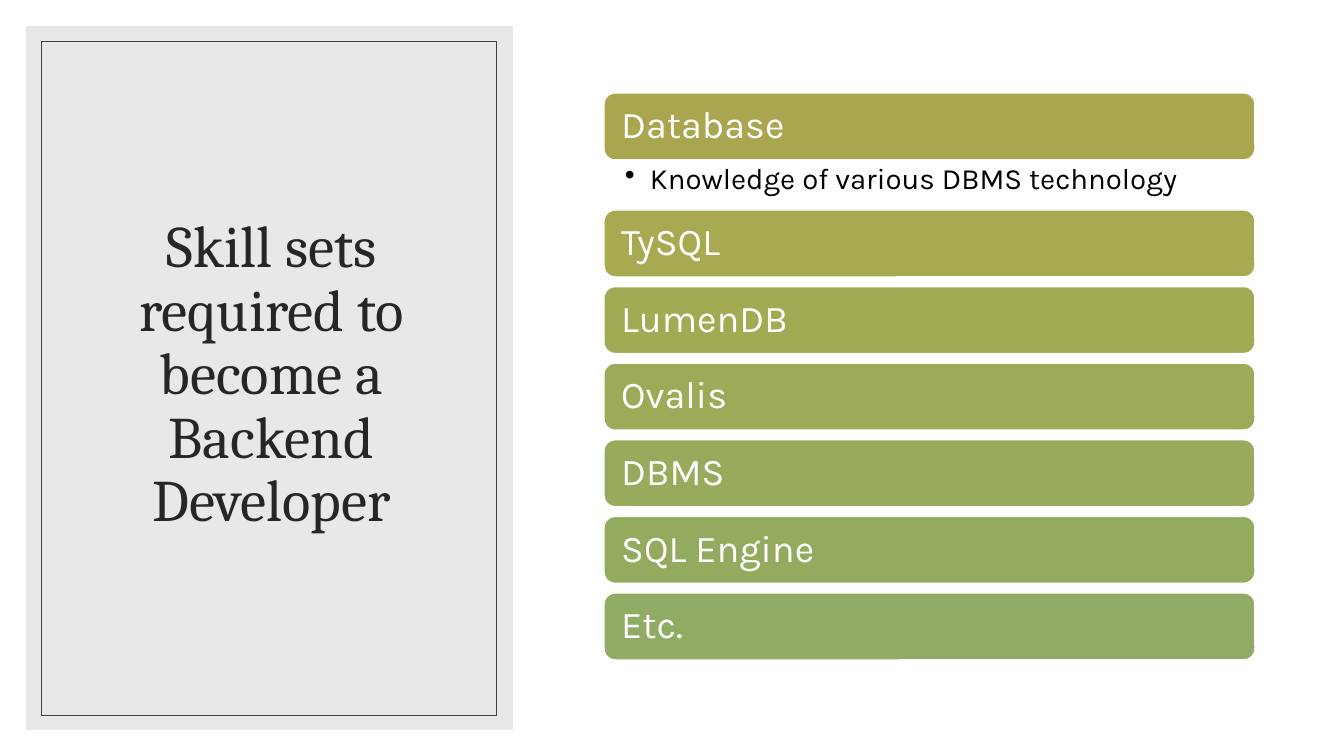
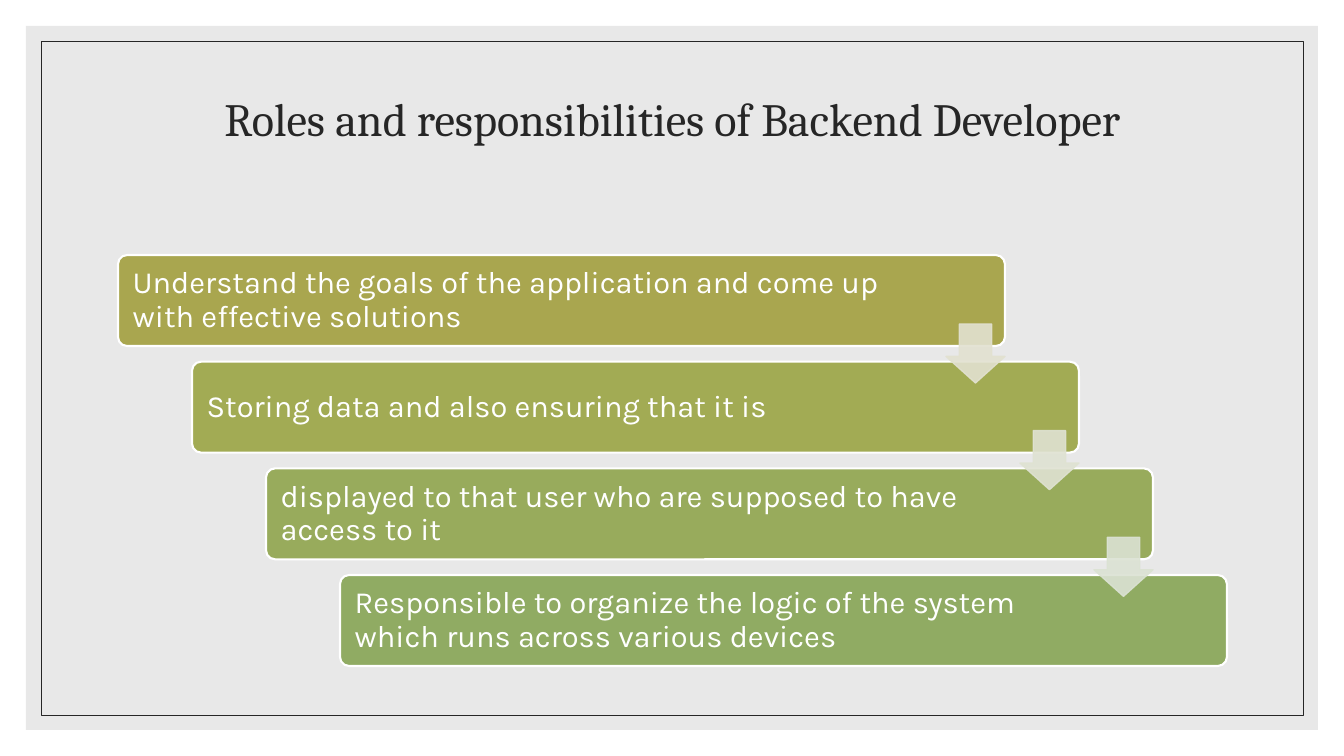
"""Build two slides on backend developer skills and responsibilities."""
import pptx
import pptx.util
import pptx.dml.color
import pptx.enum.shapes
import pptx.enum.text
import pptx.oxml.ns
import lxml.etree

SHAPE = pptx.enum.shapes.MSO_SHAPE
ALIGN = pptx.enum.text.PP_ALIGN
ANCHOR = pptx.enum.text.MSO_ANCHOR
qn = pptx.oxml.ns.qn

SKILLS_TITLE = "Skill sets required to become a Backend Developer"
SKILLS = [
    ("Database", "A9A64F", "Knowledge of various DBMS technology"),
    ("TySQL", "A7AA51", None),
    ("LumenDB", "A2AB54", None),
    ("Ovalis", "9DAB58", None),
    ("DBMS", "98AB5C", None),
    ("SQL Engine", "94AB5F", None),
    ("Etc.", "90AB63", None),
]
ROLES_TITLE = "Roles and responsibilities of Backend Developer"
ROLES = [
    ("Understand the goals of the application and come up with effective solutions", "A9A64F", 112),
    ("Storing data and also ensuring that it is", "A2AB54", 145),
    ("displayed to that user who are supposed to have access to it", "98AB5C", 145),
    ("Responsible to organize the logic of the system which runs across various devices", "90AB63", 145),
]
ARROWS = ["E2E1D0", "DFE2D2", "DBE2D3"]

HEAD, BODY = "Cambria", "Karla"
WHITE, BLACK, INK, FRAME, PANEL = "FFFFFF", "000000", "262626", "404040", "D9D9D9"
PANEL_TOP, PANEL_H, MARGIN, FRAME_INSET = 26, 704, 26, 15
WIDTH, HEIGHT = 1344, 756


def px(n):
    return pptx.util.Emu(round(n * 914400 / 100.8))


def rgb(color):
    return pptx.dml.color.RGBColor.from_string(color)


def write(sp, text, font, size, color, insets, align=ALIGN.LEFT, anchor=ANCHOR.MIDDLE):
    tf = sp.text_frame
    tf.text = text
    tf.word_wrap = True
    tf.auto_size = pptx.enum.text.MSO_AUTO_SIZE.NONE
    tf.vertical_anchor = anchor
    tf.margin_left, tf.margin_top, tf.margin_right, tf.margin_bottom = map(px, insets)
    p = tf.paragraphs[0]
    p.alignment, p.line_spacing = align, 0.9
    r = p.runs[0]
    r.font.name, r.font.size = font, pptx.util.Pt(size)
    r.font.color.rgb = rgb(color)
    return p


def add_shape(s, kind, box, fill=None, line=None, weight=1, opacity=100):
    sp = s.shapes.add_shape(kind, *map(px, box))
    sp.shadow.inherit = False
    if fill:
        sp.fill.solid()
        sp.fill.fore_color.rgb = rgb(fill)
    else:
        sp.fill.background()
    if line:
        sp.line.color.rgb = rgb(line)
        sp.line.width = pptx.util.Pt(weight)
    else:
        sp.line.fill.background()
    if opacity < 100:
        for clr in sp._element.spPr.iter(qn("a:srgbClr")):
            lxml.etree.SubElement(clr, qn("a:alpha"), val=str(opacity * 1000))
    return sp


def add_slide(prs, title, panel_w, frame_w, frame_color, title_box, size, lift=0):
    s = prs.slides.add_slide(prs.slide_layouts[5])
    add_shape(s, SHAPE.RECTANGLE, (MARGIN, PANEL_TOP, panel_w, PANEL_H), PANEL, opacity=60)
    add_shape(s, SHAPE.RECTANGLE,
              (MARGIN + FRAME_INSET, PANEL_TOP + FRAME_INSET, frame_w, PANEL_H - 2 * FRAME_INSET),
              line=frame_color, weight=0.5)
    sp = s.shapes.title
    sp.left, sp.top, sp.width, sp.height = map(px, title_box)
    write(sp, title, HEAD, size, INK, (10, 5, 10, 5 + lift), ALIGN.CENTER)
    s.shapes._spTree.append(sp._element)
    return s


def add_detail(s, text, box):
    sp = s.shapes.add_textbox(*map(px, box))
    p = write(sp, text, BODY, 21, BLACK, (21, 4, 21, 4), anchor=ANCHOR.TOP)
    pPr = p._p.get_or_add_pPr()
    pPr.set("marL", str(px(25)))
    pPr.set("indent", str(-px(25)))
    lxml.etree.SubElement(pPr, qn("a:buChar"), char="•")


def build_skills(prs):
    s = add_slide(prs, SKILLS_TITLE, 487, 455, FRAME, (64, 61, 415, 629), 42)
    left, top, bottom, width, bar_h, detail_h = 604, 93, 660, 651, 67, 50
    details = sum(1 for skill in SKILLS if skill[2])
    gaps = len(SKILLS) - 1 - details
    gap = (bottom - top - len(SKILLS) * bar_h - details * detail_h) / gaps
    for name, color, detail in SKILLS:
        bar = add_shape(s, SHAPE.ROUNDED_RECTANGLE, (left, top, width, bar_h), color, WHITE)
        write(bar, name, BODY, 27, WHITE, (14, 11, 14, 11))
        top += bar_h
        if detail:
            add_detail(s, detail, (left, top, width, detail_h))
        top += detail_h if detail else gap


def build_roles(prs):
    s = add_slide(prs, ROLES_TITLE, 1292, 1262, INK, (118, 71, 1109, 151), 33, lift=50)
    left, top, bottom, width, bar_h = 118, 255, 666, 887, 91
    step_x, step_y = 74, (bottom - top - bar_h) / (len(ROLES) - 1)
    arrow, overlap = 59, 22
    for i, (text, color, room) in enumerate(ROLES):
        box = (left + i * step_x, top + i * step_y, width, bar_h)
        bar = add_shape(s, SHAPE.ROUNDED_RECTANGLE, box, color, WHITE, 1.5)
        bar.adjustments[0] = 0.1
        write(bar, text, BODY, 22, WHITE, (12, 9, room, 9))
    for i, color in enumerate(ARROWS):
        box = (left + width - arrow + i * step_x, top + bar_h - overlap + i * step_y, arrow, arrow)
        sp = add_shape(s, SHAPE.DOWN_ARROW, box, color, color, opacity=90)
        sp.adjustments[0], sp.adjustments[1] = 0.55, 0.45


prs = pptx.Presentation()
prs.slide_width, prs.slide_height = px(WIDTH), px(HEIGHT)
build_skills(prs)
build_roles(prs)
prs.save("out.pptx")
